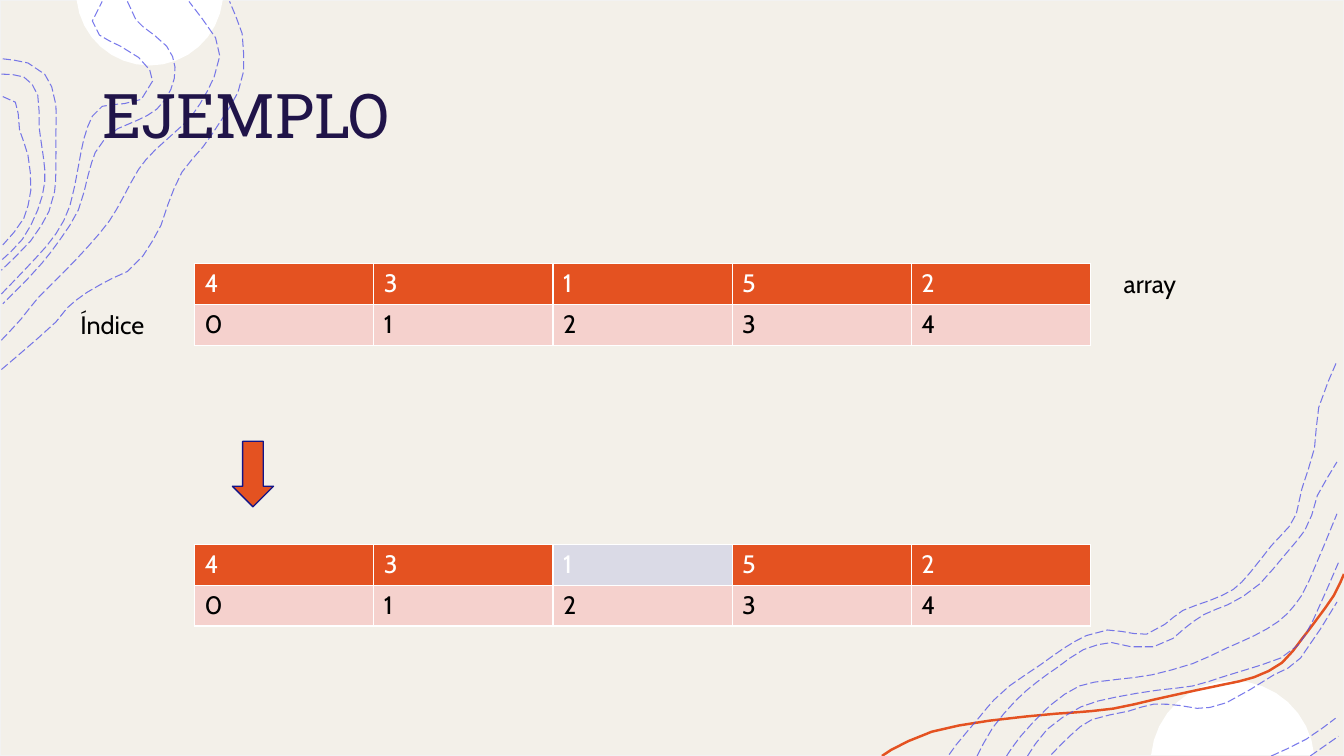
"""Build the EJEMPLO slide: an array and its indices, before and after picking a value."""
import math

import lxml.etree
import pptx
import pptx.dml.color
import pptx.enum.dml
import pptx.enum.shapes
import pptx.enum.text
import pptx.oxml.ns
import pptx.util

Pt = pptx.util.Pt
RGB = pptx.dml.color.RGBColor
SHAPE = pptx.enum.shapes.MSO_SHAPE
ANCHOR = pptx.enum.text.MSO_ANCHOR

WHITE = RGB(0xFF, 0xFF, 0xFF)
BLACK = RGB(0, 0, 0)
CREAM = RGB(0xF3, 0xF0, 0xE9)
EDGE = RGB(0xF2, 0xF2, 0xF2)
ORANGE = RGB(0xE4, 0x52, 0x21)
PINK = RGB(0xF5, 0xD1, 0xCD)
LILAC = RGB(0xDA, 0xDA, 0xE6)
VIOLET = RGB(0x4D, 0x4E, 0xE6)
NAVY = RGB(0x13, 0x14, 0x87)
INDIGO = RGB(0x20, 0x14, 0x49)

ARRAY = [4, 3, 1, 5, 2]
COLUMN, ROW = 128, 29.2

TOP_LEFT_WAVES = [
    [(1, 264), (14, 253), (40, 230), (48, 220), (62, 209), (80, 199), (91, 194), (102, 183), (115, 161),
     (120, 146), (130, 123), (145, 105), (158, 86), (170, 66), (174, 51), (174, 38), (173, 24), (164, 1)],
    [(1, 243), (15, 228), (27, 213), (46, 194), (63, 176), (78, 158), (88, 141), (99, 121), (111, 107),
     (132, 88), (143, 74), (153, 55), (157, 40), (154, 27), (135, 1)],
    [(91, 1), (97, 14), (102, 19), (119, 33), (125, 48), (122, 64), (112, 78), (98, 86), (84, 92), (75, 99),
     (68, 109), (63, 125), (56, 150), (43, 171), (30, 188), (20, 199), (2, 217)],
    [(1, 210), (25, 185), (40, 167), (50, 147), (56, 119), (60, 99), (66, 83), (73, 76), (89, 74), (101, 71),
     (109, 58), (107, 50), (99, 41), (86, 33), (71, 25), (66, 15), (73, 1)],
    [(2, 42), (20, 45), (32, 53), (37, 62), (40, 75), (40, 95), (40, 121), (39, 137), (35, 151), (22, 172),
     (1, 193)],
    [(1, 53), (17, 55), (27, 68), (28, 91), (31, 112), (32, 130), (27, 150), (16, 171), (1, 186)],
    [(2, 69), (11, 73), (13, 81), (14, 93), (20, 111), (22, 136), (17, 156), (10, 166), (2, 175)],
]
BOTTOM_RIGHT_WAVES = [
    [(678, 539), (683, 532), (699, 513), (710, 500), (721, 490), (743, 475), (760, 463), (776, 454),
     (791, 450), (801, 451), (819, 453), (832, 446), (845, 436), (864, 429), (881, 421), (893, 409),
     (908, 390), (921, 376), (926, 367), (930, 349), (939, 320), (942, 291), (955, 258)],
    [(698, 540), (709, 520), (726, 500), (741, 487), (755, 477), (774, 464), (794, 459), (808, 462),
     (824, 462), (838, 456), (846, 449), (860, 439), (877, 432), (888, 426), (900, 417), (919, 395),
     (932, 379), (937, 368), (941, 354), (955, 330)],
    [(936, 540), (956, 526)],
    [(908, 540), (933, 528), (954, 513)],
    [(751, 539), (765, 525), (780, 514), (806, 508), (824, 503), (843, 504), (855, 506), (876, 502),
     (910, 482), (929, 470), (955, 430)],
    [(734, 540), (748, 521), (772, 505), (797, 498), (827, 493), (852, 490), (875, 483), (901, 475),
     (915, 470), (927, 461), (938, 443), (956, 402)],
    [(719, 540), (729, 526), (750, 504), (771, 490), (792, 486), (810, 484), (823, 482), (852, 474),
     (876, 463), (896, 454), (913, 444), (925, 432), (935, 415), (955, 367)],
]
RIBBON = [(630, 540), (636.5, 535.7), (665.6, 522.7), (706.7, 514.8), (754.6, 509.8), (766.8, 509),
          (795.2, 506.2), (823.3, 500), (831.2, 498.2), (857.2, 492.5), (874.4, 488.9), (895.7, 483.8),
          (915.8, 473.4), (930.2, 456.1), (940, 443.2), (952.9, 425.2), (960, 410)]


def smooth(knots):
    """Return the knots of a Catmull-Rom curve, with midpoints on its longer spans."""
    ends = [knots[0], *knots, knots[-1]]
    points = [knots[0]]
    for a, b, c, d in zip(ends, ends[1:], ends[2:], ends[3:]):
        if math.dist(b, c) > 16:
            points.append(tuple((9 * (q + r) - p - t) / 16 for p, q, r, t in zip(a, b, c, d)))
        points.append(c)
    return points


def add_outline(shapes, points, close=False):
    """Add a freeform through points given in points of length."""
    start, *rest = [(Pt(x), Pt(y)) for x, y in points]
    builder = shapes.build_freeform(*start)
    builder.add_line_segments(rest, close=close)
    sp = builder.convert_to_shape()
    sp.shadow.inherit = False
    return sp


def add_curve(shapes, knots, color, width):
    """Add a smooth unfilled line."""
    sp = add_outline(shapes, smooth(knots))
    sp.fill.background()
    sp.line.color.rgb = color
    sp.line.width = Pt(width)
    return sp


def add_waves(s, waves):
    """Add a group of dashed, partly transparent curves."""
    group = s.shapes.add_group_shape()
    for knots in waves:
        sp = add_curve(group.shapes, knots, VIOLET, 0.75)
        sp.line.dash_style = pptx.enum.dml.MSO_LINE.LONG_DASH
        clr = sp._element.spPr.xpath(".//a:ln//a:srgbClr")[0]
        lxml.etree.SubElement(clr, pptx.oxml.ns.qn("a:alpha"), val="75000")


def add_cap(s, left, width, base, height, steps=16):
    """Add a white circle segment; a negative height rises from the base."""
    rise = abs(height)
    radius = (rise**2 + width**2 / 4) / (2 * rise)
    half = math.asin(width / 2 / radius)
    angles = [half * (2 * i / steps - 1) for i in range(steps + 1)]
    points = [(left + width / 2 + radius * math.sin(a),
               base + math.copysign(1, height) * radius * (math.cos(a) - math.cos(half))) for a in angles]
    sp = add_outline(s.shapes, points, close=True)
    sp.fill.solid()
    sp.fill.fore_color.rgb = WHITE
    sp.line.fill.background()


def add_box(s, kind, left, top, width, height, fill, line):
    """Add a filled preset shape with a thin outline."""
    sp = s.shapes.add_shape(kind, Pt(left), Pt(top), Pt(width), Pt(height))
    sp.shadow.inherit = False
    sp.fill.solid()
    sp.fill.fore_color.rgb = fill
    sp.line.color.rgb = line
    sp.line.width = Pt(1)


def write(tf, text, font="Cabin", size=18, color=BLACK):
    """Write one formatted run into a text frame."""
    r = tf.paragraphs[0].add_run()
    r.text = text
    r.font.name = font
    r.font.size = Pt(size)
    r.font.bold = False
    r.font.color.rgb = color


def add_text(s, text, left, top, width, height, anchor=ANCHOR.TOP, **style):
    """Add a wrapped text box."""
    tf = s.shapes.add_textbox(Pt(left), Pt(top), Pt(width), Pt(height)).text_frame
    tf.word_wrap = True
    tf.vertical_anchor = anchor
    write(tf, text, **style)


def add_borders(cell):
    """Give a cell white borders on its four sides."""
    tcPr = cell._tc.get_or_add_tcPr()
    for side in ("lnL", "lnR", "lnT", "lnB"):
        ln = lxml.etree.SubElement(tcPr, pptx.oxml.ns.qn(f"a:{side}"), w=str(Pt(1)))
        fill = lxml.etree.SubElement(ln, pptx.oxml.ns.qn("a:solidFill"))
        lxml.etree.SubElement(fill, pptx.oxml.ns.qn("a:srgbClr"), val=str(WHITE))


def add_array(s, top, marked=None):
    """Add the array above its indices, with an optional marked position."""
    rows = [(ARRAY, ORANGE, WHITE), (range(len(ARRAY)), PINK, BLACK)]
    table = s.shapes.add_table(len(rows), len(ARRAY), Pt(139), Pt(top),
                               Pt(COLUMN * len(ARRAY)), Pt(ROW * len(rows))).table
    table.first_row = table.horz_banding = False
    for column in table.columns:
        column.width = Pt(COLUMN)
    for i, (values, fill, color) in enumerate(rows):
        table.rows[i].height = Pt(ROW)
        for j, value in enumerate(values):
            cell = table.cell(i, j)
            add_borders(cell)
            cell.fill.solid()
            cell.fill.fore_color.rgb = LILAC if i == 0 and j == marked else fill
            write(cell.text_frame, str(value), color=color)


def main():
    """Build and save the slide."""
    prs = pptx.Presentation()
    prs.slide_width, prs.slide_height = Pt(960), Pt(540)
    s = prs.slides.add_slide(prs.slide_layouts[6])
    add_box(s, SHAPE.RECTANGLE, 0, 0, 960, 540, CREAM, EDGE)
    add_cap(s, 54.7, 104.4, 0, 46.8)
    add_cap(s, 822.2, 116.6, 539.5, -53.3)
    add_curve(s.shapes, RIBBON, ORANGE, 1.75)
    add_waves(s, TOP_LEFT_WAVES)
    add_waves(s, BOTTOM_RIGHT_WAVES)
    add_text(s, "EJEMPLO", 66, 28.8, 828, 104.4, ANCHOR.MIDDLE, font="Roboto Slab", size=44, color=INDIGO)
    add_array(s, 188.2)
    add_text(s, "Índice", 50.4, 217.6, 72, 29)
    add_text(s, "array", 795.6, 188.2, 127.4, 29)
    add_array(s, 388.8, marked=2)
    add_box(s, SHAPE.DOWN_ARROW, 166, 315.2, 29.4, 46.8, ORANGE, NAVY)
    prs.save("out.pptx")


if __name__ == "__main__":
    main()
